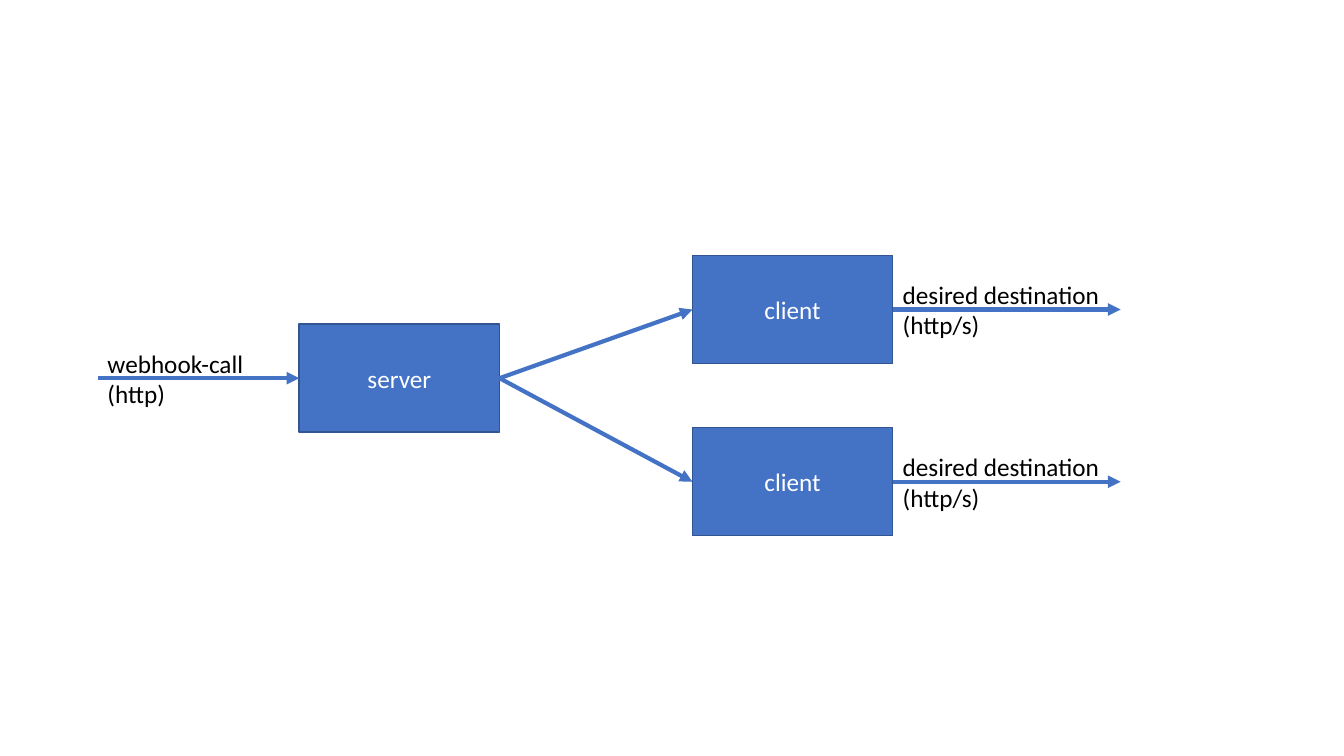
from lxml.etree import SubElement
from pptx import Presentation
from pptx.dml.color import RGBColor
from pptx.enum.shapes import MSO_CONNECTOR, MSO_SHAPE
from pptx.enum.text import MSO_ANCHOR, MSO_AUTO_SIZE, PP_ALIGN
from pptx.oxml.ns import qn
from pptx.util import Cm, Pt

# Names with left edge and vertical centre, in centimetres
SERVER = ("server", 7.54, 9.53)
CLIENTS = [("client", 17.45, 7.8), ("client", 17.45, 12.14)]
INCOMING = ["webhook-call", "(http)"]
OUTGOING = ["desired destination", "(http/s)"]

BOX_WIDTH, BOX_HEIGHT = 5.05, 2.72
INCOMING_START, OUTGOING_END = 2.46, 28.24
INCOMING_WIDTH, OUTGOING_WIDTH = 3.96, 5.54
LABEL_HEIGHT, LABEL_RISE = 1.8, 0.88
LEFT_SITE, RIGHT_SITE = 1, 3
BLUE, DARK_BLUE, WHITE, BLACK = "4472C4", "325491", "FFFFFF", "000000"


def paint(color_format, hex_color):
    color_format.rgb = RGBColor.from_string(hex_color)


def add_text(paragraph, text, hex_color):
    run = paragraph.add_run()
    run.text = text
    run.font.name = "Calibri"
    run.font.size = Pt(18)
    paint(run.font.color, hex_color)


def add_box(slide, name, left, middle):
    shape = slide.shapes.add_shape(
        MSO_SHAPE.RECTANGLE, Cm(left), Cm(middle - BOX_HEIGHT / 2),
        Cm(BOX_WIDTH), Cm(BOX_HEIGHT))
    shape.shadow.inherit = False
    shape.fill.solid()
    paint(shape.fill.fore_color, BLUE)
    paint(shape.line.color, DARK_BLUE)
    shape.line.width = Pt(1)
    shape.text_frame.vertical_anchor = MSO_ANCHOR.MIDDLE
    paragraph = shape.text_frame.paragraphs[0]
    paragraph.alignment = PP_ALIGN.CENTER
    add_text(paragraph, name, WHITE)
    return shape


def add_arrow(slide, start, end, source=None, target=None):
    """Draw an arrow between two points, glued to the boxes given."""
    arrow = slide.shapes.add_connector(
        MSO_CONNECTOR.STRAIGHT, *(Cm(length) for length in start + end))
    if source is not None:
        arrow.begin_connect(source, RIGHT_SITE)
    if target is not None:
        arrow.end_connect(target, LEFT_SITE)
    paint(arrow.line.color, BLUE)
    arrow.line.width = Pt(3)
    properties = arrow.element.spPr
    SubElement(properties.find(qn("a:ln")), qn("a:tailEnd"), type="triangle")
    SubElement(properties, qn("a:effectLst"))


def add_label(slide, lines, left, middle, width):
    label = slide.shapes.add_textbox(
        Cm(left), Cm(middle - LABEL_RISE), Cm(width), Cm(LABEL_HEIGHT))
    frame = label.text_frame
    frame.word_wrap = False
    frame.auto_size = MSO_AUTO_SIZE.SHAPE_TO_FIT_TEXT
    for index, line in enumerate(lines):
        paragraph = frame.add_paragraph() if index else frame.paragraphs[0]
        add_text(paragraph, line, BLACK)


def main():
    presentation = Presentation()
    presentation.slide_width, presentation.slide_height = Cm(33.87), Cm(19.05)
    slide = presentation.slides.add_slide(presentation.slide_layouts[6])

    server = add_box(slide, *SERVER)
    _, server_left, server_middle = SERVER
    add_arrow(slide, (INCOMING_START, server_middle),
              (server_left, server_middle), target=server)
    add_label(slide, INCOMING, INCOMING_START, server_middle, INCOMING_WIDTH)

    for name, left, middle in CLIENTS:
        client = add_box(slide, name, left, middle)
        right = left + BOX_WIDTH
        add_arrow(slide, (server_left + BOX_WIDTH, server_middle),
                  (left, middle), source=server, target=client)
        add_arrow(slide, (right, middle), (OUTGOING_END, middle), source=client)
        add_label(slide, OUTGOING, right, middle, OUTGOING_WIDTH)

    presentation.save("out.pptx")


if __name__ == "__main__":
    main()
